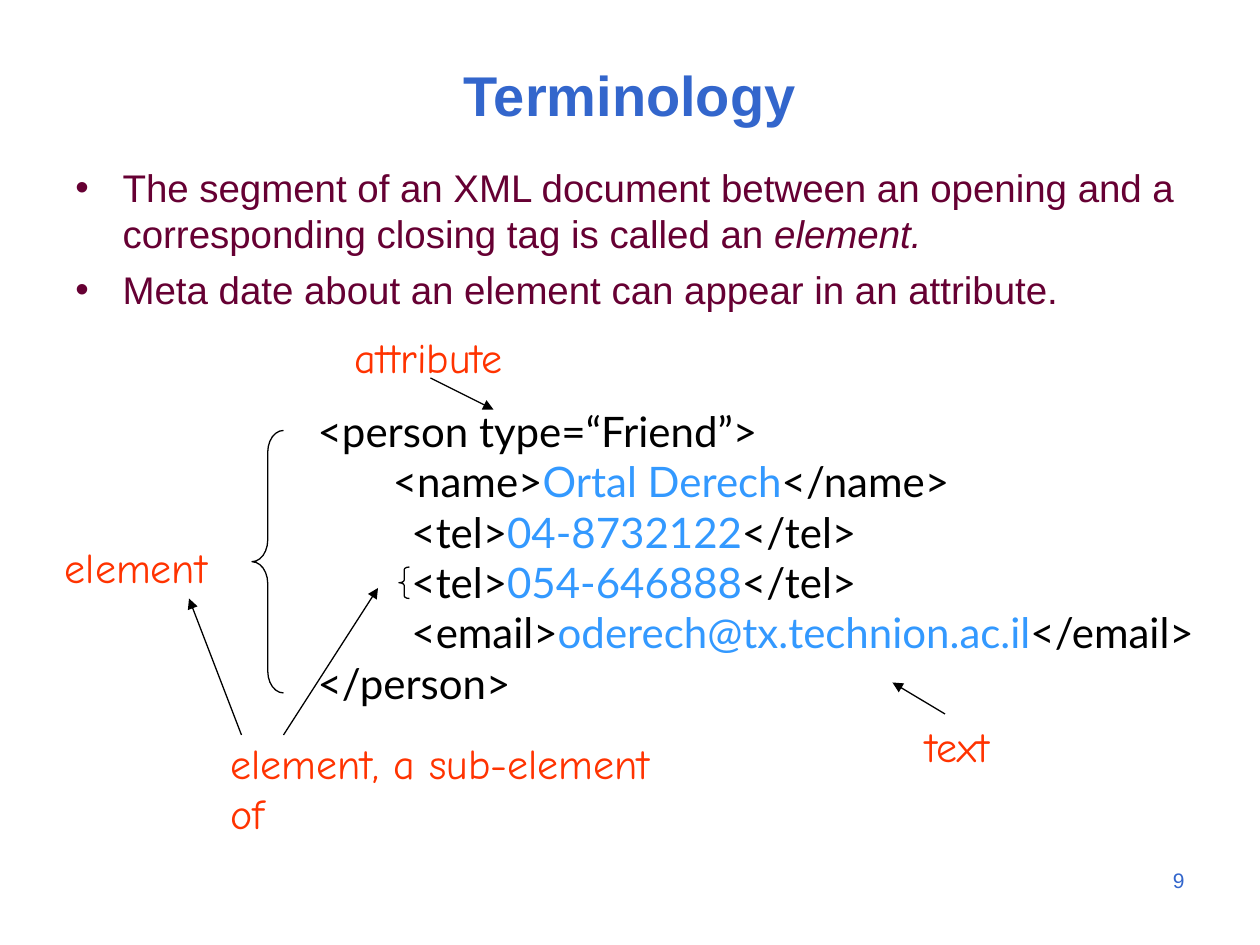
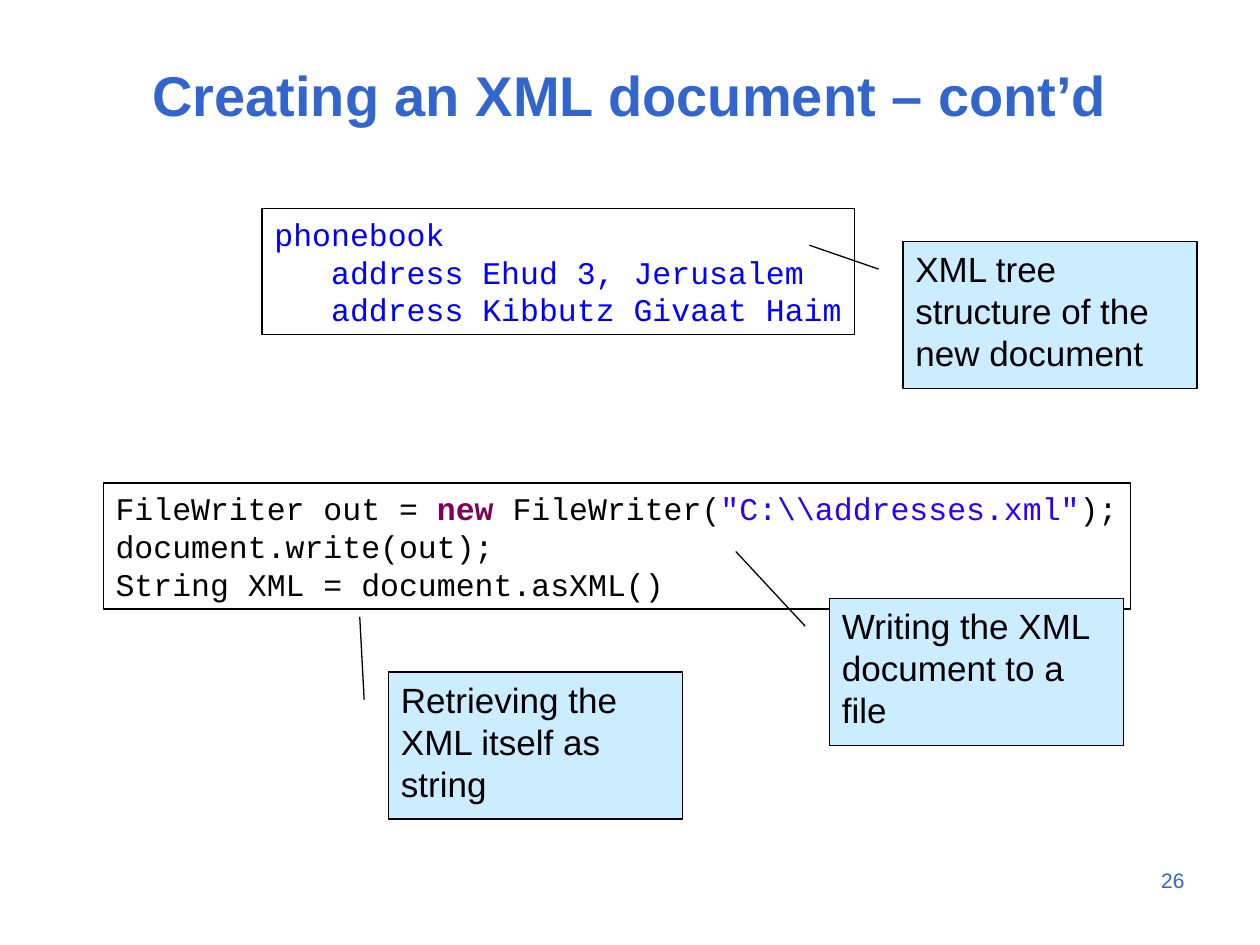
from dataclasses import dataclass
from typing import NamedTuple

from lxml.etree import SubElement
from pptx import Presentation
from pptx.dml.color import RGBColor
from pptx.enum.shapes import MSO_CONNECTOR, MSO_SHAPE
from pptx.enum.text import MSO_ANCHOR, PP_ALIGN
from pptx.oxml.ns import qn
from pptx.util import Pt

BLACK = "000000"
BLUE = "3366CC"
WINE = "660033"
SKY = "3399FF"
ORANGE = "FF3300"
PALE_BLUE = "CCECFF"
TREE_BLUE = "0000FF"
KEYWORD = "7F0055"
STRING = "2A00FF"

SANS = "Arial"
HAND = "Comic Neue"
MONO = "Courier New"
MARKUP = "Lato"

LINE_WIDTH = 0.75
BULLET_INDENT = 27
XML_TAB = 72


class Box(NamedTuple):
    left: float
    top: float
    width: float
    height: float


class Span(NamedTuple):
    text: str
    color: str | None = None
    bold: bool = False
    italic: bool = False


@dataclass(frozen=True)
class Label:
    text: str
    box: Box
    wrap: bool = True


@dataclass(frozen=True)
class Arrow:
    start: tuple[float, float]
    end: tuple[float, float]


@dataclass(frozen=True)
class Brace:
    box: Box
    curve: float


@dataclass(frozen=True)
class CodeBox:
    box: Box
    lines: list
    color: str


@dataclass(frozen=True)
class Callout:
    text: str
    left: float
    top: float
    tip_y: float
    tip_x: float


TITLE_BOX = Box(36, 24, 648, 60)
NUMBER_BOX = Box(540, 492, 144, 36)
CALLOUT_SIZE = (168, 84)
CALLOUT_START = (0.188, -0.083)

DEFINITIONS = [
    [
        Span("The segment of an XML document between an opening and a "
             "corresponding closing tag is called an "),
        Span("element.", italic=True),
    ],
    [Span("Meta date about an element can appear in an attribute.")],
]

PERSON_XML = [
    [Span("   <person type=“Friend”>")],
    [Span("          <name>"), Span("Ortal Derech", SKY), Span("</name>")],
    [Span("\t<tel>"), Span("04-8732122", SKY), Span("</tel>")],
    [Span("\t<tel>"), Span("054-646888", SKY), Span("</tel>")],
    [Span("\t<email>"), Span("oderech@tx.technion.ac.il", SKY), Span("</email>")],
    [Span("   </person>")],
]

LABELS = [
    Label("element", Box(30, 306, 108, 36)),
    Label("element, a sub-element\nof", Box(124.5, 417.6, 283, 65)),
    Label("attribute", Box(195.75, 186, 99, 36), wrap=False),
    Label("text", Box(522, 408, 108, 36)),
]

ARROWS = [
    Arrow((162, 420), (216, 336)),
    Arrow((138, 420), (108, 342)),
    Arrow((246, 216), (282, 234)),
    Arrow((540, 408), (510, 390)),
]

BRACES = [
    Brace(Box(144, 246, 18, 150), 0.69),
    Brace(Box(228, 324, 6, 18), 0.25),
]

TREE = CodeBox(
    Box(149.75, 119.25, 338.5, 72),
    [
        [Span("phonebook")],
        [Span("   address Ehud 3, Jerusalem")],
        [Span("   address Kibbutz Givaat Haim")],
    ],
    TREE_BLUE,
)

WRITER = CodeBox(
    Box(59, 276, 587, 72),
    [
        [
            Span("FileWriter out = "),
            Span("new ", KEYWORD, bold=True),
            Span("FileWriter("),
            Span(r'"C:\\addresses.xml"', STRING),
            Span(");"),
        ],
        [Span("document.write(out);")],
        [Span("String XML = document.asXML()")],
    ],
    BLACK,
)

CALLOUTS = [
    Callout("XML tree structure of the new document", 516, 138, 0.025, -0.319),
    Callout("Writing the XML document to a file", 474, 342, -0.32, -0.319),
    Callout("Retrieving the XML itself as string", 222, 384, -0.375, -0.098),
]


def rgb(color: str) -> RGBColor:
    return RGBColor.from_string(color)


def plain(text: str) -> list:
    """Turn each line of the text into a paragraph of one span."""
    return [[Span(line)] for line in text.split("\n")]


def add_bullet(paragraph, color: str) -> None:
    properties = paragraph._p.get_or_add_pPr()
    properties.set("marL", str(Pt(BULLET_INDENT)))
    properties.set("indent", str(-Pt(BULLET_INDENT)))
    tint = SubElement(properties, qn("a:buClr"))
    SubElement(tint, qn("a:srgbClr"), val=color)
    SubElement(properties, qn("a:buFont"), typeface=SANS)
    SubElement(properties, qn("a:buChar"), char="•")


def add_tab_stop(paragraph, position: float) -> None:
    stops = SubElement(paragraph._p.get_or_add_pPr(), qn("a:tabLst"))
    SubElement(stops, qn("a:tab"), pos=str(Pt(position)), algn="l")


def write_text(frame, paragraphs: list, *, size: float, font: str, color: str,
               bold: bool = False, align=PP_ALIGN.LEFT, anchor=MSO_ANCHOR.TOP,
               wrap: bool = True, bullets: bool = False, gap: float = 0,
               tab: float = 0) -> None:
    """Fill a text frame; gap is the space between paragraphs."""
    frame.word_wrap = wrap
    frame.vertical_anchor = anchor
    for index, spans in enumerate(paragraphs):
        paragraph = frame.add_paragraph() if index else frame.paragraphs[0]
        paragraph.alignment = align
        if bullets:
            add_bullet(paragraph, color)
        if tab:
            add_tab_stop(paragraph, tab)
        if index and gap:
            paragraph.space_before = Pt(gap)
        for span in spans:
            run = paragraph.add_run()
            run.text = span.text
            run.font.name = font
            run.font.size = Pt(size)
            run.font.bold = bold or span.bold
            run.font.italic = span.italic
            run.font.color.rgb = rgb(span.color or color)


def add_text(slide, box: Box, paragraphs: list, **text_format) -> None:
    frame = slide.shapes.add_textbox(*map(Pt, box)).text_frame
    write_text(frame, paragraphs, **text_format)


def add_outlined(slide, preset, box: Box, fill: str | None = None):
    shape = slide.shapes.add_shape(preset, *map(Pt, box))
    shape.shadow.inherit = False
    if fill:
        shape.fill.solid()
        shape.fill.fore_color.rgb = rgb(fill)
    else:
        shape.fill.background()
    shape.line.color.rgb = rgb(BLACK)
    shape.line.width = Pt(LINE_WIDTH)
    return shape


def add_arrow(slide, arrow: Arrow) -> None:
    connector = slide.shapes.add_connector(
        MSO_CONNECTOR.STRAIGHT, *map(Pt, arrow.start + arrow.end))
    connector.line.color.rgb = rgb(BLACK)
    connector.line.width = Pt(LINE_WIDTH)
    SubElement(connector.line._get_or_add_ln(), qn("a:tailEnd"), type="triangle")
    SubElement(connector._element.spPr, qn("a:effectLst"))


def add_brace(slide, brace: Brace) -> None:
    shape = add_outlined(slide, MSO_SHAPE.LEFT_BRACE, brace.box)
    shape.adjustments[0] = brace.curve


def add_code_box(slide, code: CodeBox) -> None:
    shape = add_outlined(slide, MSO_SHAPE.RECTANGLE, code.box)
    write_text(shape.text_frame, code.lines, size=18, font=MONO,
               color=code.color, wrap=False)


def add_callout(slide, callout: Callout) -> None:
    box = Box(callout.left, callout.top, *CALLOUT_SIZE)
    shape = add_outlined(slide, MSO_SHAPE.LINE_CALLOUT_1, box, PALE_BLUE)
    for index, value in enumerate((*CALLOUT_START, callout.tip_y, callout.tip_x)):
        shape.adjustments[index] = value
    write_text(shape.text_frame, plain(callout.text), size=20, font=SANS, color=BLACK)


def add_titled_slide(deck, title: str, number: int):
    slide = deck.slides.add_slide(deck.slide_layouts[6])
    add_text(slide, NUMBER_BOX, plain(str(number)), size=12, font=SANS,
             color=BLUE, align=PP_ALIGN.RIGHT)
    add_text(slide, TITLE_BOX, plain(title), size=32, font=SANS, color=BLUE,
             bold=True, align=PP_ALIGN.CENTER, anchor=MSO_ANCHOR.MIDDLE)
    return slide


def build_terminology(deck) -> None:
    slide = add_titled_slide(deck, "Terminology", 9)
    add_text(slide, Box(36, 90, 648, 102), DEFINITIONS, size=22, font=SANS,
             color=WINE, bullets=True, gap=5.5)
    add_text(slide, Box(156, 228, 564, 209), PERSON_XML, size=24, font=MARKUP,
             color=BLACK, tab=XML_TAB)
    for brace in BRACES:
        add_brace(slide, brace)
    for label in LABELS:
        add_text(slide, label.box, plain(label.text), size=24, font=HAND,
                 color=ORANGE, wrap=label.wrap)
    for arrow in ARROWS:
        add_arrow(slide, arrow)


def build_document_creation(deck) -> None:
    slide = add_titled_slide(deck, "Creating an XML document – cont’d", 26)
    for code in (TREE, WRITER):
        add_code_box(slide, code)
    for callout in CALLOUTS:
        add_callout(slide, callout)


def main() -> None:
    deck = Presentation()
    deck.slide_width, deck.slide_height = Pt(720), Pt(540)
    build_terminology(deck)
    build_document_creation(deck)
    deck.save("out.pptx")


if __name__ == "__main__":
    main()
